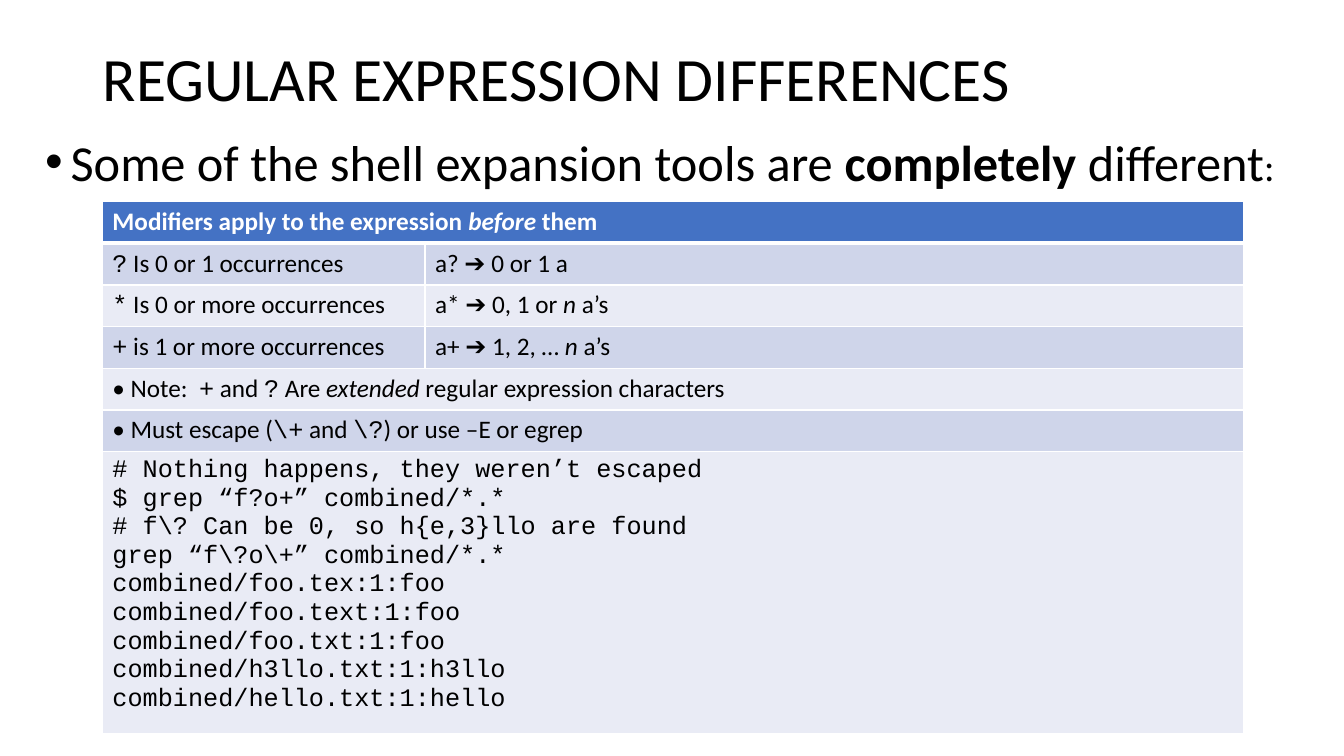
from lxml import etree
from pptx import Presentation
from pptx.dml.color import RGBColor
from pptx.enum.text import MSO_ANCHOR
from pptx.oxml.ns import qn
from pptx.util import Cm, Pt

MIDDLE, TOP = MSO_ANCHOR.MIDDLE, MSO_ANCHOR.TOP

THEME = {
    "text": "000000", "light": "FFFFFF", "header": "4472C4",
    "bands": ("E9EBF5", "CFD5EA"),
    "font": "Calibri", "code_font": "Courier New",
    "title": 44, "body": 36, "colon": 28, "table": 18,
}
CODE = {"name": THEME["code_font"]}
ITALIC = {"italic": True}
BOLD = {"bold": True}


def write(para, spans, size, color=THEME["text"], **shared):
    """Fill a paragraph with spans: plain strings or (string, format) pairs."""
    for item in spans:
        words, special = (item, {}) if isinstance(item, str) else item
        span = para.add_run()
        span.text = words
        span.font.color.rgb = RGBColor.from_string(color)
        values = {"name": THEME["font"], "size": Pt(size), "bold": False,
                  **shared, **special}
        for key, value in values.items():
            setattr(span.font, key, value)


def add_border(cell, side, width):
    line = etree.SubElement(cell._tc.get_or_add_tcPr(), qn("a:" + side), w=str(Pt(width)))
    fill = etree.SubElement(line, qn("a:solidFill"))
    etree.SubElement(fill, qn("a:srgbClr"), val=THEME["light"])


deck = Presentation()
deck.slide_width, deck.slide_height = Cm(33.87), Cm(19.05)
page = deck.slides.add_slide(deck.slide_layouts[6])

# Title and lead sentence
headings = [
    ((2.34, 1.02, 29.21, 2.06), MIDDLE, 0.9, THEME["title"],
     ["REGULAR EXPRESSION DIFFERENCES"]),
    ((0.89, 3.48, 31.67, 1.57), TOP, 0.8, THEME["body"],
     ["Some of the shell expansion tools are ", ("completely", BOLD),
      " different", (":", {"size": Pt(THEME["colon"])})]),
]
for place, anchor, spacing, size, spans in headings:
    box = page.shapes.add_textbox(*map(Cm, place))
    box.text_frame.word_wrap = True
    box.text_frame.vertical_anchor = anchor
    para = box.text_frame.paragraphs[0]
    para.line_spacing = spacing
    write(para, spans, size)

# Bullet on the lead sentence
para.space_before = Pt(10)
props = para._p.get_or_add_pPr()
props.set("marL", str(Cm(0.64)))
props.set("indent", str(Cm(-0.64)))
etree.SubElement(props, qn("a:buFont"), typeface="Arial")
etree.SubElement(props, qn("a:buChar"), char="•")

# Table content: rows of cells, cells of paragraphs, paragraphs of spans
code_lines = [
    "# Nothing happens, they weren’t escaped",
    "$ grep “f?o+” combined/*.*",
    "# f\\? Can be 0, so h{e,3}llo are found",
    "grep “f\\?o\\+” combined/*.*",
    "combined/foo.tex:1:foo",
    "combined/foo.text:1:foo",
    "combined/foo.txt:1:foo",
    "combined/h3llo.txt:1:h3llo",
    "combined/hello.txt:1:hello",
]
rows = [
    [[["Modifiers apply to the expression ", ("before", ITALIC), " them"]]],
    [[[("?", CODE), " Is 0 or 1 occurrences"]], [["a? ➔ 0 or 1 a"]]],
    [[[("*", CODE), " Is 0 or more occurrences"]],
     [["a* ➔ 0, 1 or ", ("n", ITALIC), " a’s"]]],
    [[[("+", CODE), " is 1 or more occurrences"]],
     [["a+ ➔ 1, 2, … ", ("n ", ITALIC), "a’s"]]],
    [[["• Note:  ", ("+", CODE), " and ", ("?", CODE), " Are ",
       ("extended", ITALIC), " regular expression characters"]]],
    [[["• Must escape (", ("\\+", CODE), " and ", ("\\?", CODE),
       ") or use –E or egrep"]]],
    [[[(line, CODE)] for line in code_lines]],
]
widths = (8.13, 20.64)
heights = [1.05] * (len(rows) - 1) + [6.73]

# Modifier table
table = page.shapes.add_table(len(rows), len(widths), Cm(2.58), Cm(5.08),
                              Cm(sum(widths)), Cm(sum(heights))).table
for column, width in zip(table.columns, widths):
    column.width = Cm(width)
for index, (cells, height) in enumerate(zip(rows, heights)):
    table.rows[index].height = Cm(height)
    header = index == 0
    if len(cells) == 1:
        table.cell(index, 0).merge(table.cell(index, 1))
    for place in range(len(widths)):
        cell = table.cell(index, place)
        for side in ("lnL", "lnR", "lnT", "lnB"):
            thick = (header and side == "lnB") or (index == 1 and side == "lnT")
            add_border(cell, side, 3 if thick else 1)
        cell.fill.solid()
        cell.fill.fore_color.rgb = RGBColor.from_string(
            THEME["header"] if header else THEME["bands"][index % 2])
    for place, paragraphs in enumerate(cells):
        frame = table.cell(index, place).text_frame
        for number, spans in enumerate(paragraphs):
            para = frame.add_paragraph() if number else frame.paragraphs[0]
            write(para, spans, THEME["table"],
                  THEME["light"] if header else THEME["text"], bold=header)

deck.save("out.pptx")
